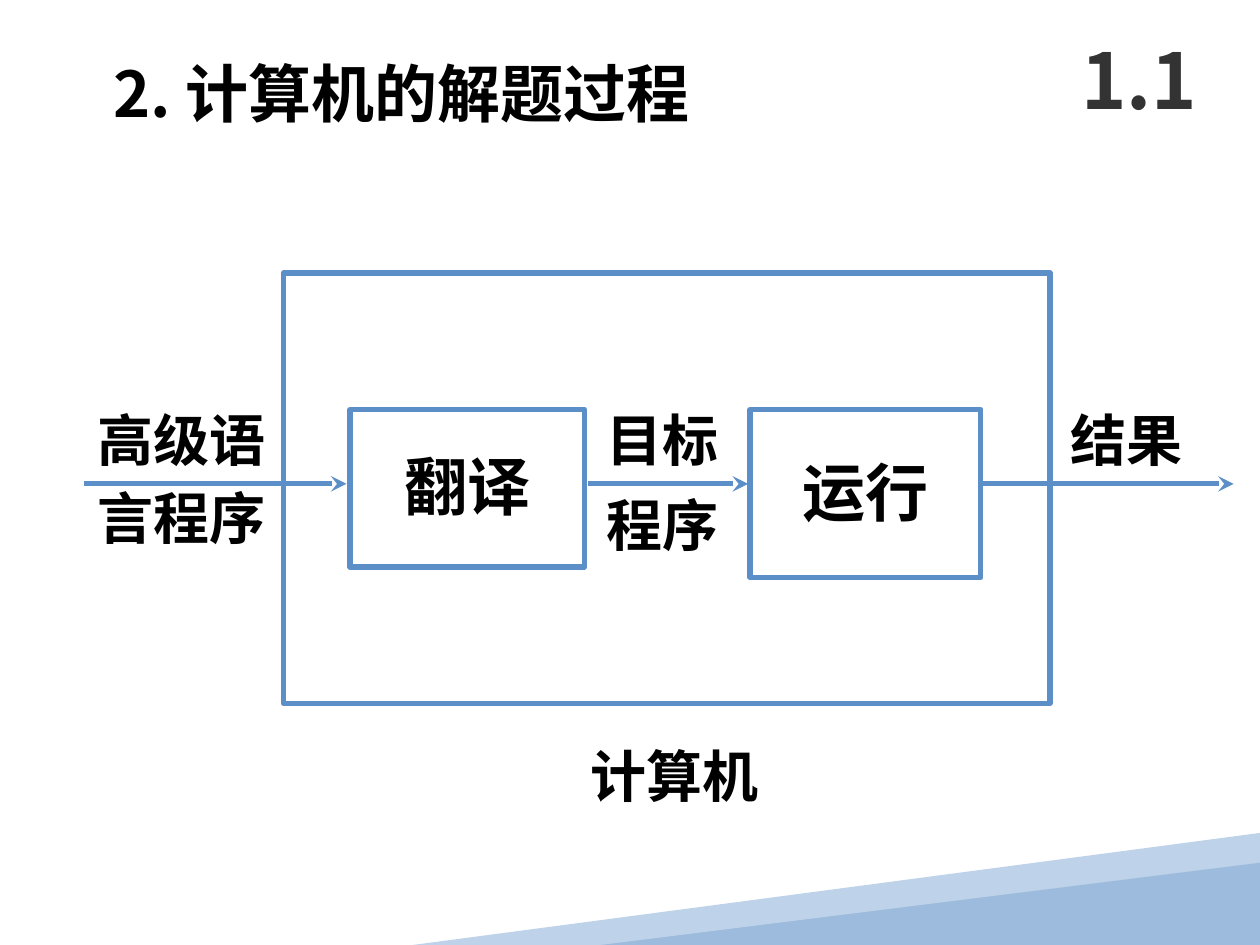
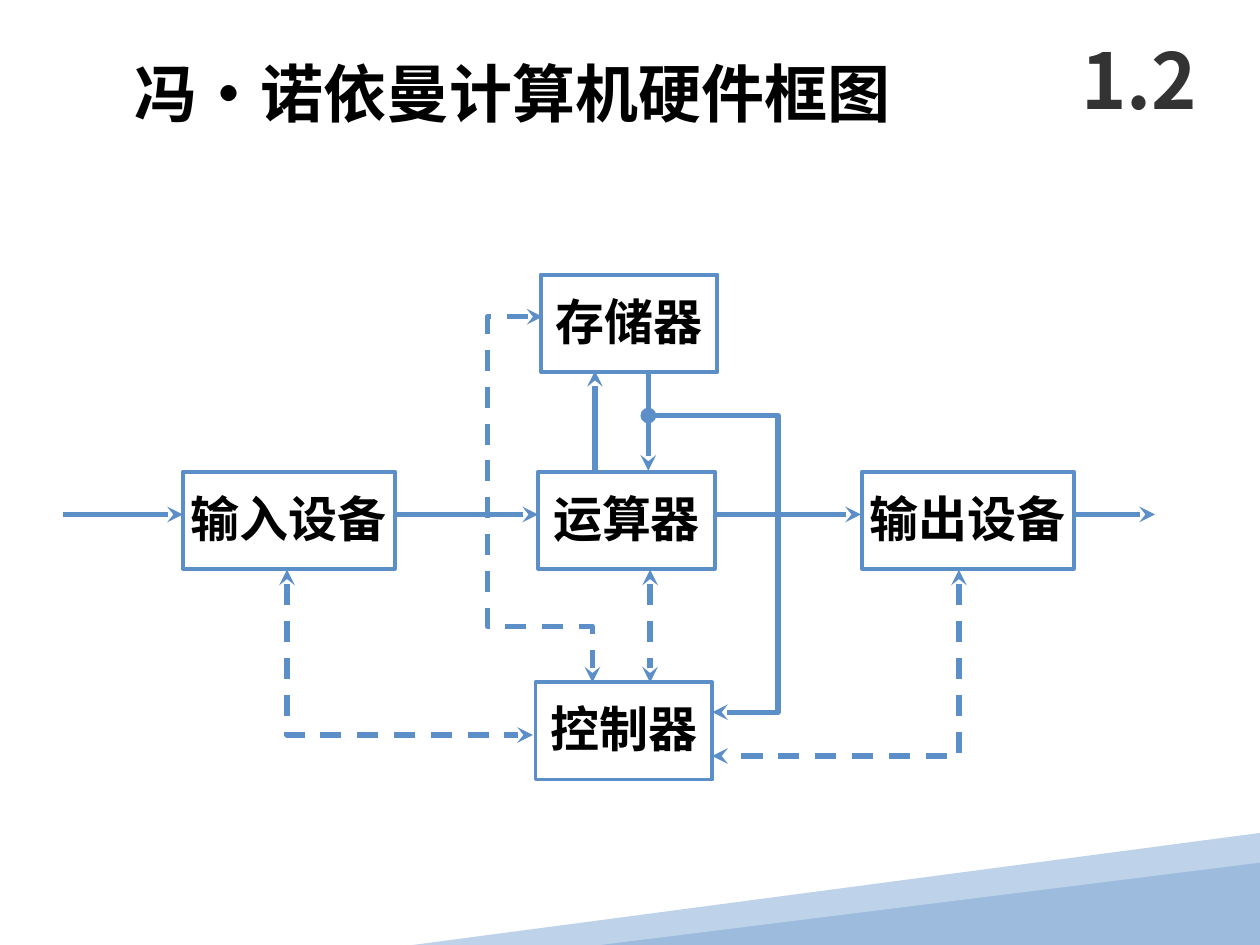
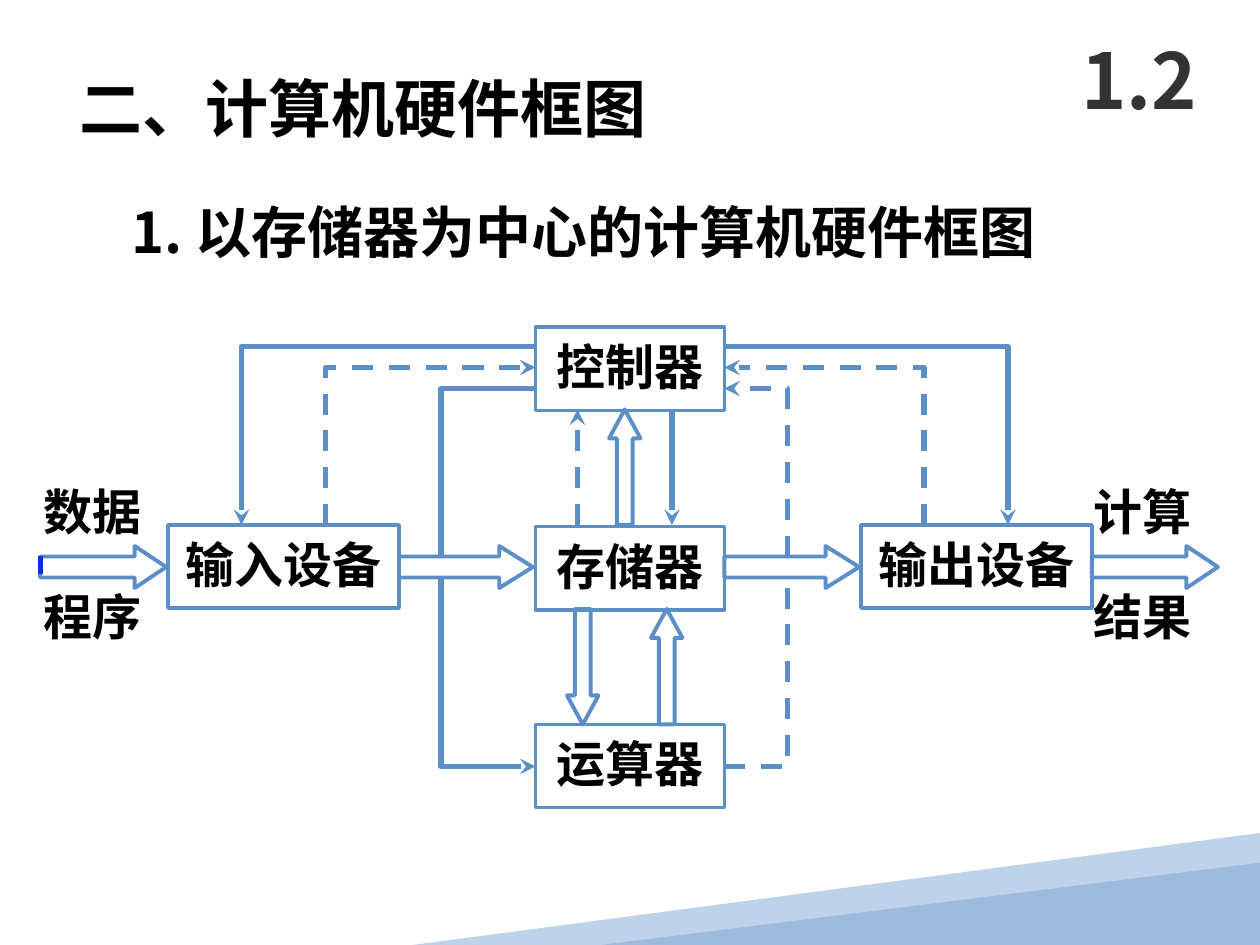
"""Build three slides of block diagrams about computer hardware."""
from lxml import etree
from pptx import Presentation
from pptx.dml.color import RGBColor
from pptx.enum.dml import MSO_LINE
from pptx.enum.shapes import MSO_CONNECTOR, MSO_SHAPE
from pptx.enum.text import MSO_ANCHOR, MSO_AUTO_SIZE, PP_ALIGN
from pptx.oxml.ns import qn
from pptx.util import Pt

FONT = "Noto Sans CJK SC"
BLACK, GREY = "000000", "333333"
BLUE, TICK_BLUE = "5C8FC7", "0033D8"
BAND_LIGHT, BAND_DARK = "BED2E9", "9DBCDD"
ROUTE_WIDTH = 3
LEFT, CENTER = PP_ALIGN.LEFT, PP_ALIGN.CENTER
TOP, MIDDLE = MSO_ANCHOR.TOP, MSO_ANCHOR.MIDDLE
NO_AUTOFIT = MSO_AUTO_SIZE.NONE
RECTANGLE, TRIANGLE = MSO_SHAPE.RECTANGLE, MSO_SHAPE.ISOSCELES_TRIANGLE
RIGHT_ARROW, UP_ARROW, DOWN_ARROW = (
    MSO_SHAPE.RIGHT_ARROW, MSO_SHAPE.UP_ARROW, MSO_SHAPE.DOWN_ARROW)
STRAIGHT, DASH = MSO_CONNECTOR.STRAIGHT, MSO_LINE.DASH
TITLE_ONLY = 5


def rgb(value):
    """Turn a hex string into a colour."""
    return RGBColor.from_string(value)


def points(*values):
    """Turn numbers of points into lengths."""
    return [Pt(value) for value in values]


def write(shape, text, size, align=LEFT, anchor=TOP, color=BLACK, bottom=0):
    """Put one bold line of text into a shape without margins."""
    frame = shape.text_frame
    frame.text = text
    frame.auto_size = NO_AUTOFIT
    frame.word_wrap = False
    frame.vertical_anchor = anchor
    frame.margin_left = frame.margin_right = frame.margin_top = 0
    frame.margin_bottom = Pt(bottom)
    paragraph = frame.paragraphs[0]
    paragraph.alignment = align
    for run in paragraph.runs:
        run.font.name = FONT
        run.font.size = Pt(size)
        run.font.bold = True
        run.font.color.rgb = rgb(color)
        etree.SubElement(run._r.get_or_add_rPr(), qn("a:ea"), typeface=FONT)


def add_label(slide, text, box, size, **style):
    """Add a text box."""
    write(slide.shapes.add_textbox(*points(*box)), text, size, **style)


def add_outline(slide, kind, box, width):
    """Add an unfilled preset shape with a blue outline."""
    shape = slide.shapes.add_shape(kind, *points(*box))
    shape.shadow.inherit = False
    shape.fill.background()
    shape.line.color.rgb = rgb(BLUE)
    shape.line.width = Pt(width)
    return shape


def add_unit(slide, text, box, size, width):
    """Add a rectangle that names a unit of the computer."""
    shape = add_outline(slide, RECTANGLE, box, width)
    write(shape, text, size, CENTER, MIDDLE, bottom=3)


def add_block_arrow(slide, kind, box, head):
    """Add an outlined block arrow with a head of the given proportion."""
    arrow = add_outline(slide, kind, box, 2.25)
    arrow.adjustments[1] = head


def add_route(slide, stops, head=None, tail="stealth", dashed=False, color=BLUE):
    """Draw a line through the stops, straight or bent, with optional ends."""
    straight = len(stops) == 2
    if straight:
        (x1, y1), (x2, y2) = stops
        route = slide.shapes.add_connector(STRAIGHT, *points(x1, y1, x2, y2))
    else:
        route = add_path(slide.shapes, stops, close=False)
        route.fill.background()
    route.line.color.rgb = rgb(color)
    route.line.width = Pt(ROUTE_WIDTH)
    if dashed:
        route.line.dash_style = DASH
    properties = route.element.spPr
    line = properties.find(qn("a:ln"))
    for tag, end in (("a:headEnd", head), ("a:tailEnd", tail)):
        if end:
            etree.SubElement(line, qn(tag), type=end)
    if straight:
        etree.SubElement(properties, qn("a:effectLst"))


def add_path(shapes, stops, close):
    """Build a freeform through the stops."""
    start, *others = [points(*stop) for stop in stops]
    builder = shapes.build_freeform(*start)
    builder.add_line_segments(others, close=close)
    shape = builder.convert_to_shape()
    shape.shadow.inherit = False
    return shape


def add_bands(slide):
    """Add the two slanted bands at the foot of a slide."""
    shapes = slide.shapes.add_group_shape().shapes
    light = add_path(shapes, [(720, 476), (720, 536), (484.5, 540), (236, 540)], True)
    dark = shapes.add_shape(TRIANGLE, *points(343.5, 493, 376.5, 47))
    dark.shadow.inherit = False
    dark.adjustments[0] = 1
    for band, color in ((light, BAND_LIGHT), (dark, BAND_DARK)):
        band.fill.solid()
        band.fill.fore_color.rgb = rgb(color)
        band.line.fill.background()


def add_slide(presentation, title, left, top, section):
    """Add a slide with bands, title and section number."""
    slide = presentation.slides.add_slide(presentation.slide_layouts[TITLE_ONLY])
    add_bands(slide)
    heading = slide.shapes.title
    heading.left, heading.top, heading.width, heading.height = points(left, top, 480, 44)
    write(heading, title, 36)
    add_label(slide, section, (606, 12, 90, 66), 44,
              align=CENTER, anchor=MIDDLE, color=GREY)
    return slide


def build_solving_process(presentation):
    """Show how a program is translated and run."""
    slide = add_slide(presentation, "2. 计算机的解题过程", 65, 31, "1.1")
    add_outline(slide, RECTANGLE, (162, 156, 438, 246), 3)
    add_unit(slide, "翻译", (200, 234, 134, 90), 36, 3)
    add_unit(slide, "运行", (428.5, 234, 132, 96), 36, 3)
    for text, left, top, width in (
        ("高级语", 55.5, 232, 96), ("言程序", 55.5, 276.5, 96),
        ("目标", 346.5, 232, 64), ("程序", 346.5, 280, 64),
        ("结果", 612, 232, 64), ("计算机", 337.5, 423.5, 96),
    ):
        add_label(slide, text, (left, top, width, 38), 32)
    for start, end in ((48, 198), (336, 427.5), (560.5, 705)):
        add_route(slide, [(start, 276.5), (end, 276.5)])


def build_von_neumann(presentation):
    """Show the von Neumann machine with the arithmetic unit at its centre."""
    slide = add_slide(presentation, "冯·诺依曼计算机硬件框图", 77, 31, "1.2")
    for text, left, top, width in (
        ("存储器", 309, 157, 101), ("输入设备", 104.5, 269.5, 121),
        ("运算器", 307.5, 269.5, 101), ("控制器", 306, 390, 101),
        ("输出设备", 492.5, 269.5, 121),
    ):
        add_unit(slide, text, (left, top, width, 55.5), 28, 2.25)
    for control in (
        [(164, 325.5), (164, 420), (304.5, 420)],
        [(310, 181), (278.5, 181), (278.5, 358), (338.5, 358), (338.5, 390)],
        [(371.5, 325.5), (371.5, 390)],
        [(548, 325.5), (548, 432), (407, 432)],
    ):
        add_route(slide, control, head="stealth", dashed=True)
    add_route(slide, [(340, 269.5), (340, 212)])
    add_route(slide, [(370.5, 212.5), (370.5, 269)])
    add_route(slide, [(370.5, 237.5), (444.5, 237.5), (444.5, 407), (407, 407)],
              head="oval")
    for start, end in ((36, 104.5), (225.5, 307.5), (408.5, 492), (613.5, 660)):
        add_route(slide, [(start, 294), (end, 294)])


def build_memory_centred(presentation):
    """Show the machine with the memory at its centre."""
    slide = add_slide(presentation, "二、计算机硬件框图", 45.5, 39.5, "1.2")
    add_label(slide, "1. 以存储器为中心的计算机硬件框图", (75, 113, 525, 38), 32)
    for text, left, top, width in (
        ("控制器", 306, 187, 108), ("存储器", 306, 301, 108),
        ("运算器", 306, 414, 108), ("输入设备", 96, 300, 132),
        ("输出设备", 492, 300, 132),
    ):
        add_unit(slide, text, (left, top, width, 47.5), 28, 2)
    for left, width, head in (
        (23, 72, 0.75), (228, 76.5, 0.8), (414, 77, 0.8), (624, 72, 0.75),
    ):
        add_block_arrow(slide, RIGHT_ARROW, (left, 312, width, 24), head)
    for kind, left, top in (
        (UP_ARROW, 348, 234), (UP_ARROW, 372, 348), (DOWN_ARROW, 324, 348),
    ):
        add_block_arrow(slide, kind, (left, top, 18, 66), 0.92)
    for command in (
        [(384, 234), (384, 300)],
        [(252, 330), (252, 438), (306, 438)],
        [(306, 198), (138, 198), (138, 300)],
        [(414, 198), (576, 198), (576, 300)],
    ):
        add_route(slide, command)
    for feedback in (
        [(330, 300), (330, 234)],
        [(450, 318), (450, 222), (414, 222)],
        [(186, 300), (186, 210), (306, 210)],
        [(528, 300), (528, 210), (414, 210)],
    ):
        add_route(slide, feedback, dashed=True)
    add_route(slide, [(252, 318), (252, 222), (306, 222)], tail=None)
    add_route(slide, [(414, 438), (450, 438), (450, 330)], tail=None, dashed=True)
    add_route(slide, [(23, 318), (23, 328)], tail=None, color=TICK_BLUE)
    for left, texts in ((25, ("数据", "程序")), (625, ("计算", "结果"))):
        for text, top in zip(texts, (275, 335)):
            add_label(slide, text, (left, top, 56, 34), 28)


def main():
    """Build and save the presentation."""
    presentation = Presentation()
    presentation.slide_width, presentation.slide_height = points(720, 540)
    build_solving_process(presentation)
    build_von_neumann(presentation)
    build_memory_centred(presentation)
    presentation.save("out.pptx")


if __name__ == "__main__":
    main()
